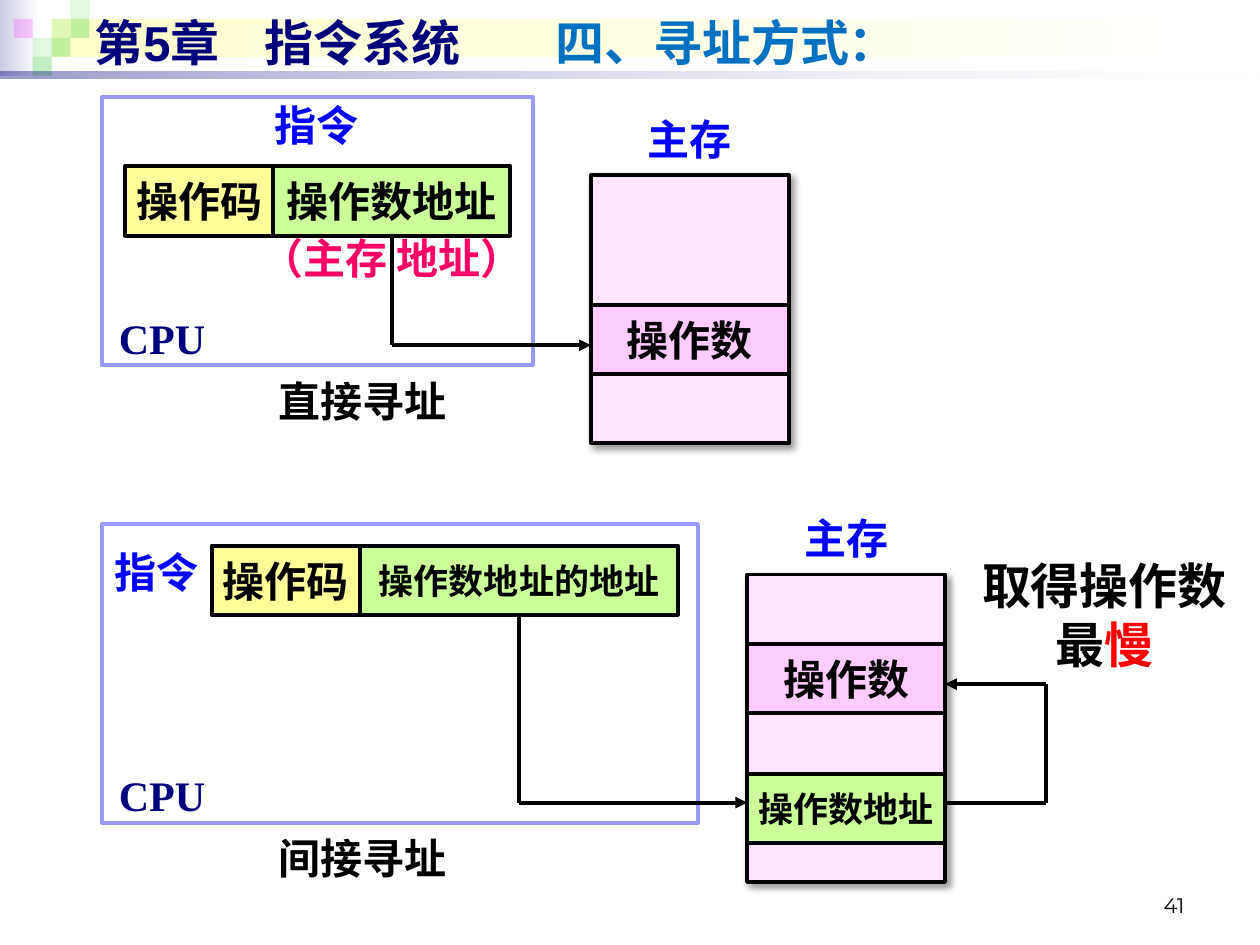
import pptx
import pptx.util
import pptx.dml.color
import pptx.enum.shapes
import pptx.enum.text
import pptx.oxml
import pptx.oxml.ns

RGB = pptx.dml.color.RGBColor
KIND = pptx.enum.shapes.MSO_SHAPE
ALIGN = pptx.enum.text.PP_ALIGN
ANCHOR = pptx.enum.text.MSO_ANCHOR
NS = 'xmlns:a="http://schemas.openxmlformats.org/drawingml/2006/main"'
SCALE = 9144  # 100 px to the inch

BLACK, WHITE = RGB(0, 0, 0), RGB(255, 255, 255)
NAVY, BLUE, SKY = RGB(0, 0, 0x7D), RGB(0, 0, 255), RGB(0, 0x70, 0xC0)
RED, PINK = RGB(255, 0, 0), RGB(255, 0, 0x66)
FRAME, MIST = RGB(0x99, 0x99, 255), RGB(0xCC, 0xCC, 0xE6)
CREAM, YELLOW = RGB(255, 255, 0xCC), RGB(255, 255, 0x99)
LIME, GREEN = RGB(0xCC, 255, 0x99), RGB(0x33, 0xCC, 0x33)
PALE, ROSE, PURPLE = RGB(255, 0xE5, 255), RGB(255, 0xCC, 255), RGB(255, 0, 255)
SERIF, HAN = "Times New Roman", "Noto Sans CJK SC"


def px(*vals):
    return [pptx.util.Emu(int(v * SCALE)) for v in vals]


def add_xml(node, text):
    node.append(pptx.oxml.parse_xml(text))


def style(run, **opts):
    look = {"name": SERIF, "size": 24, "bold": True, "color": BLACK} | opts
    run.font.color.rgb = look.pop("color")
    look["size"] = pptx.util.Pt(look["size"])
    for key, val in look.items():
        setattr(run.font, key, val)
    add_xml(run.font._element, f'<a:ea {NS} typeface="{HAN}"/>')


def write(shape, lines, align=ALIGN.CENTER, anchor=ANCHOR.TOP, wrap=False, **opts):
    """Each line is a list of (text, extra format) runs."""
    frame = shape.text_frame
    frame.word_wrap, frame.vertical_anchor = wrap, anchor
    for i, line in enumerate(lines):
        para = frame.paragraphs[0] if i == 0 else frame.add_paragraph()
        para.alignment = align
        for text, more in line:
            run = para.add_run()
            run.text = text
            style(run, **(opts | more))


def label(slide, box, text, **opts):
    shape = slide.shapes.add_textbox(*px(*box))
    write(shape, [[(text, {})]], **opts)
    return shape


def rect(slide, box, fill=None, line=None):
    shape = slide.shapes.add_shape(KIND.RECTANGLE, *px(*box))
    shape.shadow.inherit = False
    if fill is None:
        shape.fill.background()
    else:
        shape.fill.solid()
        shape.fill.fore_color.rgb = fill
    if line is None:
        shape.line.fill.background()
    else:
        shape.line.color.rgb = line
        shape.line.width = pptx.util.Pt(2.25)
    return shape


def cell(slide, box, text, fill, size=24):
    shape = rect(slide, box, fill, BLACK)
    write(shape, [[(text, {})]], anchor=ANCHOR.MIDDLE, size=size)
    return shape


def fade(slide, box, first, alphas=(100, 100)):
    shape = rect(slide, box, WHITE)
    shape.fill.gradient()
    shape.fill.gradient_angle = 0
    for stop, color in zip(shape.fill.gradient_stops, (first, WHITE)):
        stop.color.rgb = color
    clear(shape, *alphas)


def clear(shape, *alphas):
    tones = shape._element.spPr.iter(pptx.oxml.ns.qn("a:srgbClr"))
    for tone, alpha in zip(tones, alphas):
        add_xml(tone, f'<a:alpha {NS} val="{alpha * 1000}"/>')


def route(slide, points, start=None):
    """Joined straight lines, with an arrowhead at the end if it points at a cell."""
    pairs = list(zip(points, points[1:]))
    for i, (a, b) in enumerate(pairs):
        wire = slide.shapes.add_connector(
            pptx.enum.shapes.MSO_CONNECTOR.STRAIGHT, *px(*a, *b))
        if start is not None and i == 0:
            wire.begin_connect(start, 2)
        wire.line.color.rgb = BLACK
        wire.line.width = pptx.util.Pt(2.25)
        if i == len(pairs) - 1:
            add_xml(wire.line._get_or_add_ln(), f'<a:tailEnd {NS} type="triangle"/>')
        add_xml(wire._element.spPr, f"<a:effectLst {NS}/>")


def header(slide, x, y, w):
    fade(slide, (x, y, 31, 60), MIST)
    fade(slide, (x + 41, y + 15, w - 45, 30), CREAM)
    # Mosaic of squares: column, row, colour, opacity
    for col, row, color, alpha in (
            (2, 1, GREEN, 15), (3, 0, GREEN, 15), (3, 1, GREEN, 30),
            (1, 2, GREEN, 15), (0, 1, PURPLE, 20), (2, 2, GREEN, 30),
            (1, 3, GREEN, 30)):
        tile = rect(slide, (x + 11 + 15 * col, y + 15 * row, 15, 15), color)
        clear(tile, alpha)
    fade(slide, (x, y + 57, w, 5), NAVY, (40, 10))
    # Title, brought in front of the band
    title = slide.shapes.title
    title.left, title.top, title.width, title.height = px(x + 65, y + 5, 900, 57)
    props = title.text_frame.paragraphs[0]._p.get_or_add_pPr()
    add_xml(props, f'<a:tabLst {NS}><a:tab pos="{135 * SCALE}" algn="l"/></a:tabLst>')
    write(title, [[("第5章\t指令系统", {})]], ALIGN.LEFT, ANCHOR.MIDDLE, True,
          name="Arial", size=28, color=NAVY)
    slide.shapes._spTree.append(title._element)
    label(slide, (x + 431, y + 5, 296, 57), "四、寻址方式：", align=ALIGN.LEFT,
          name=HAN, size=28, color=SKY)


def memory(slide, x, y, h, cells):
    """Main store; cells are (offset, text, fill, size)."""
    block = rect(slide, (x, y, 157, h), PALE, BLACK)
    block._element.spPr.remove(block._element.spPr.find(pptx.oxml.ns.qn("a:effectLst")))
    add_xml(block._element.spPr,
            f'<a:effectLst {NS}><a:outerShdw blurRad="50800" dist="38100" '
            'dir="2700000" algn="tl" rotWithShape="0"><a:srgbClr val="000000">'
            '<a:alpha val="40000"/></a:srgbClr></a:outerShdw></a:effectLst>')
    for off, text, fill, size in cells:
        cell(slide, (x, y + off, 157, 55), text, fill, size)
    label(slide, (x, y - 54, 157, 50), "主存", color=BLUE)


def cpu(slide, x, y, w, h, code, width, text, size, name):
    """CPU frame with its instruction; code is the offset of the opcode cell."""
    dx, dy = code
    rect(slide, (x, y, w, h), line=FRAME)
    cell(slide, (x + dx, y + dy, 118, 55), "操作码", YELLOW)
    addr = cell(slide, (x + dx + 118, y + dy, width, 55), text, LIME, size)
    label(slide, (x + 3, y + h - 47, 89, 50), "CPU", color=NAVY)
    label(slide, (x + 65, y + h + 3, 284, 50), name)
    return addr


def direct(slide, x, y):
    addr = cpu(slide, x, y, 342, 213, (18, 55), 188, "操作数地址", 24, "直接寻址")
    label(slide, (x + 17, y - 3, 307, 50), "指令", color=BLUE)
    label(slide, (x + 114, y + 103, 232, 50), "（主存 地址）", color=PINK)
    memory(slide, x + 388, y + 62, 213, [(103, "操作数", ROSE, 24)])
    route(slide, [(x + 230, y + 110), (x + 230, y + 197), (x + 388, y + 197)], addr)


def indirect(slide, x, y):
    addr = cpu(slide, x, y, 473, 237, (87, 17), 252, "操作数地址的地址", 20, "间接寻址")
    label(slide, (x, y + 13, 134, 50), "指令", align=ALIGN.LEFT, color=BLUE)
    memory(slide, x + 512, y + 40, 244,
           [(55, "操作数", ROSE, 24), (158, "操作数地址", LIME, 20)])
    route(slide, [(x + 331, y + 72), (x + 331, y + 221), (x + 512, y + 221)], addr)
    route(slide, [(x + 669, y + 221), (x + 749, y + 221),
                  (x + 749, y + 127), (x + 669, y + 127)])
    note = slide.shapes.add_textbox(*px(x + 687, y + 20, 217, 104))
    write(note, [[("取得操作数", {})],
                 [("最", {}), ("慢", {"name": HAN, "color": RED})]], size=28)


def main():
    deck = pptx.Presentation()
    deck.slide_width, deck.slide_height = px(1000, 750)
    slide = deck.slides.add_slide(deck.slide_layouts[5])
    header(slide, 0, 0, 1000)
    direct(slide, 81, 77)
    indirect(slide, 81, 416)
    # Page number
    label(slide, (717, 698, 233, 35), "41", align=ALIGN.RIGHT, anchor=ANCHOR.BOTTOM,
          name="Montserrat", size=12, bold=False)
    deck.save("out.pptx")


if __name__ == "__main__":
    main()
